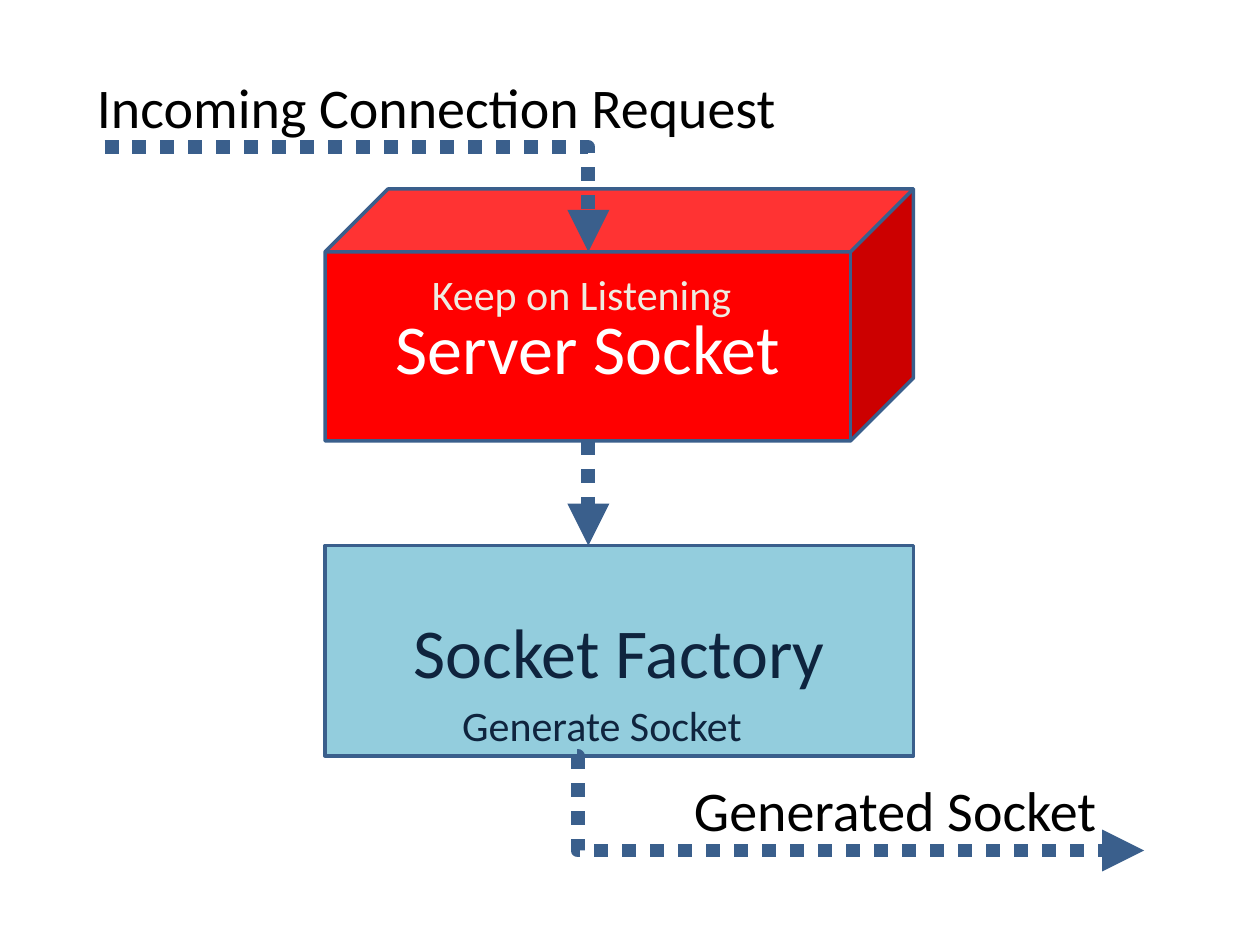
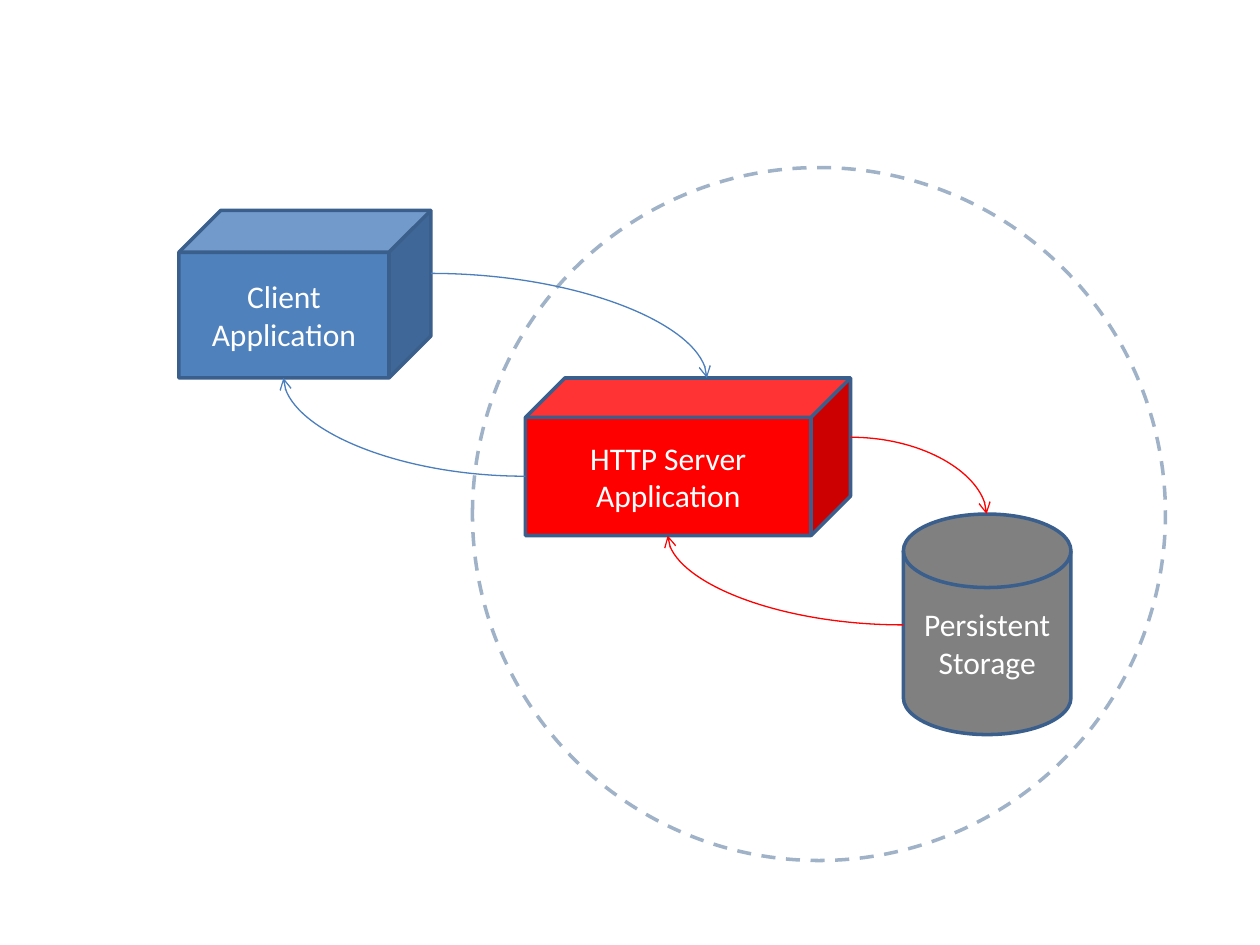
import lxml.etree
import pptx
import pptx.util
import pptx.dml.color
import pptx.enum.dml
import pptx.enum.shapes
import pptx.enum.text
import pptx.oxml.ns

Inches, Pt = pptx.util.Inches, pptx.util.Pt
SHAPE = pptx.enum.shapes.MSO_SHAPE
CONNECTOR = pptx.enum.shapes.MSO_CONNECTOR
DASH = pptx.enum.dml.MSO_LINE
ALIGN = pptx.enum.text.PP_ALIGN
qn = pptx.oxml.ns.qn

FONT = "Calibri"
COLORS = {
    "outline": "3A5F8C", "server": "FF0000", "factory": "93CDDD",
    "client": "4F81BD", "storage": "808080", "client_link": "4B7EBC",
    "white": "FFFFFF", "cream": "EEECE1", "navy": "0F243E", "black": "000000",
}


def rgb(name):
    return pptx.dml.color.RGBColor.from_string(COLORS[name])


def add_xml(parent, tag, **attributes):
    lxml.etree.SubElement(parent, qn(tag), attributes)


def style_line(line, color, width, dash=None):
    line.color.rgb = rgb(color)
    line.width = Pt(width)
    if dash is not None:
        line.dash_style = dash


def write(frame, text, size, color, align):
    frame.text = text
    for paragraph in frame.paragraphs:
        paragraph.alignment = align
        for run in paragraph.runs:
            run.font.name = FONT
            run.font.size = Pt(size)
            run.font.color.rgb = rgb(color)


def add_block(slide, kind, box, fill, text="", size=18, color="white", dash=None):
    """Outlined shape with a centred caption; no fill when fill is None."""
    block = slide.shapes.add_shape(kind, *map(Inches, box))
    block.shadow.inherit = False
    if fill:
        block.fill.solid()
        block.fill.fore_color.rgb = rgb(fill)
    else:
        block.fill.background()
    style_line(block.line, "outline", 2, dash)
    if text:
        block.text_frame.vertical_anchor = pptx.enum.text.MSO_ANCHOR.MIDDLE
        write(block.text_frame, text, size, color, ALIGN.CENTER)
    return block


def add_label(slide, box, text, size, color, wrap=False):
    label = slide.shapes.add_textbox(*map(Inches, box))
    label.text_frame.word_wrap = wrap
    label.text_frame.auto_size = pptx.enum.text.MSO_AUTO_SIZE.SHAPE_TO_FIT_TEXT
    write(label.text_frame, text, size, color, ALIGN.LEFT)


def add_arrow(slide, kind, start, end, color, width, head, dash=None, preset=None):
    arrow = slide.shapes.add_connector(kind, *map(Inches, start + end))
    style_line(arrow.line, color, width, dash)
    properties = arrow._element.spPr
    add_xml(properties.find(qn("a:ln")), "a:tailEnd", type=head)
    add_xml(properties, "a:effectLst")
    if preset:
        properties.find(qn("a:prstGeom")).set("prst", preset)
    return arrow


def add_flow(slide, kind, start, end, preset=None):
    """Thick dotted arrow of the request flow."""
    return add_arrow(slide, kind, start, end, "outline", 8, "triangle",
                     DASH.ROUND_DOT, preset)


def build_socket_flow(slide):
    left, width, axis = 2.58, 4.67, 4.67

    # Server socket and the incoming request
    add_block(slide, SHAPE.CUBE, (left, 1.5, width, 2), "server", "Server Socket", 40)
    add_label(slide, (3.33, 2.08, 2.76, 0.5), "Keep on Listening", 24, "cream", True)
    add_label(slide, (0.67, 0.53, 5.65, 0.64), "Incoming Connection Request", 32, "black")
    add_flow(slide, CONNECTOR.ELBOW, (0.83, 1.17), (axis, 2), "bentConnector2")

    # Socket factory
    add_block(slide, SHAPE.RECTANGLE, (left, 4.33, width, 1.67), "factory",
              "Socket Factory", 40, "navy")
    add_flow(slide, CONNECTOR.STRAIGHT, (axis, 3.5), (axis, 4.33))
    add_label(slide, (3.57, 5.5, 2.76, 0.5), "Generate Socket", 24, "navy", True)

    # Generated socket leaves almost straight down, then to the right
    outgoing = add_flow(slide, CONNECTOR.ELBOW, (4.58, 6), (9.08, 6.75))
    guides = outgoing._element.spPr.find(qn("a:prstGeom")).find(qn("a:avLst"))
    add_xml(guides, "a:gd", name="adj1", fmla="val 100")
    add_label(slide, (5.41, 6.11, 3.43, 0.64), "Generated Socket", 32, "black")


def build_http_overview(slide):
    # Server boundary, half transparent
    boundary = add_block(slide, SHAPE.OVAL, (3.75, 1.33, 5.5, 5.5), None, dash=DASH.DASH)
    boundary_color = boundary._element.spPr.find(qn("a:ln")).find(".//" + qn("a:srgbClr"))
    add_xml(boundary_color, "a:alpha", val="47000")

    # Applications and storage
    add_block(slide, SHAPE.CUBE, (4.17, 3, 2.58, 1.25), "server", "HTTP Server Application")
    add_block(slide, SHAPE.CUBE, (1.42, 1.67, 2, 1.33), "client", "Client\nApplication")
    add_block(slide, SHAPE.FLOWCHART_MAGNETIC_DISK, (7.17, 4.08, 1.33, 1.75),
              "storage", "Persistent Storage")

    # Requests and replies
    links = [
        ((3.42, 2.17), (5.61, 3), "client_link"),
        ((6.75, 3.47), (7.83, 4.08), "server"),
        ((4.17, 3.78), (2.25, 3), "client_link"),
        ((7.17, 4.96), (5.3, 4.25), "server"),
    ]
    for start, end, color in links:
        add_arrow(slide, CONNECTOR.CURVE, start, end, color, 0.75, "arrow",
                  preset="curvedConnector2")


def main():
    deck = pptx.Presentation()
    deck.slide_width, deck.slide_height = Inches(10), Inches(7.5)
    blank = deck.slide_layouts[6]
    for build in (build_socket_flow, build_http_overview):
        build(deck.slides.add_slide(blank))
    deck.save("out.pptx")


main()
